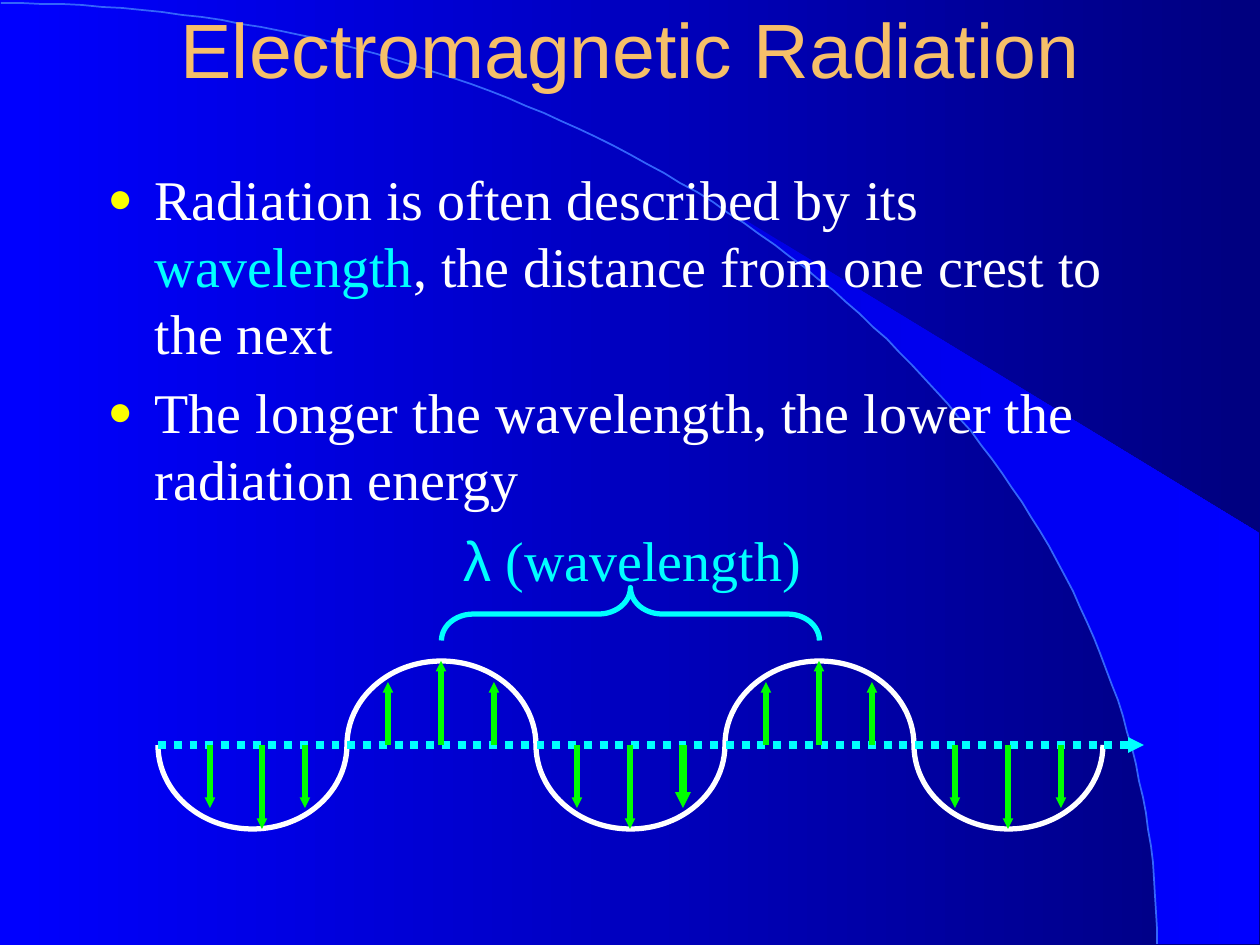
from math import cos, radians, sin
from lxml.etree import SubElement
from pptx import Presentation
from pptx.dml.color import RGBColor
from pptx.enum.dml import MSO_LINE
from pptx.enum.shapes import MSO_CONNECTOR, MSO_SHAPE
from pptx.enum.text import MSO_ANCHOR, MSO_AUTO_SIZE, PP_ALIGN
from pptx.oxml.ns import qn
from pptx.util import Emu, Pt

HUES = {
    "left": "0000FF", "right": "00007F", "wedge": "0000E5", "curve": "3365FB",
    "title": "F6BF69", "text": "FFFFFF", "key": "00FFFF", "dot": "FAFD00",
    "arrow": "00FF00",
}
SCALE = 914400 / 126
AXIS, HALF, CREST, START = 745, 189, 84, 158


def px(num):
    """Turn px into EMU."""
    return Emu(round(num * SCALE))


def hue(name):
    """Look up a colour by name."""
    return RGBColor.from_string(HUES[name])


def put(item, **vals):
    """Set each format value on an item."""
    for key, val in vals.items():
        setattr(item, key, val)


class Deck:
    """Hold the style and the current slide."""

    def __init__(self):
        """Start a one-slide deck."""
        self.prs = Presentation()
        put(self.prs, slide_width=px(1260), slide_height=px(945))
        self.slide = self.prs.slides.add_slide(self.prs.slide_layouts[1])
        self.shapes = self.slide.shapes
        self.blend(self.slide.background.fill, "left", "right")

    def blend(self, fill, *names):
        """Fill with a gradient from left to right."""
        fill.gradient()
        fill.gradient_angle = 0
        for stop, name in zip(fill.gradient_stops, names):
            stop.color.rgb = hue(name)

    def line(self, item, name, width):
        """Give an item a solid line."""
        item.line.color.rgb = hue(name)
        item.line.width = Pt(width)

    def outline(self, dots, close):
        """Draw a freeform through the dots, behind the text."""
        build = self.shapes.build_freeform(*dots[0], scale=SCALE)
        build.add_line_segments(dots[1:], close=close)
        form = build.convert_to_shape()
        form.shadow.inherit = False
        self.shapes.title.element.addprevious(form.element)
        return form

    def shape(self, kind, box, name, adjust, turn=0):
        """Draw an unfilled preset shape."""
        item = self.shapes.add_shape(kind, *map(px, box))
        item.shadow.inherit = False
        item.fill.background()
        self.line(item, name, 3)
        item.rotation = turn
        for pos, val in enumerate(adjust):
            item.adjustments[pos] = val

    def arrow(self, start, end, name, width=3, dash=None):
        """Draw a straight arrow with a small head."""
        item = self.shapes.add_connector(
            MSO_CONNECTOR.STRAIGHT, *map(px, start + end))
        self.line(item, name, width)
        item.line.dash_style = dash
        props = item.element.spPr
        SubElement(props.get_or_add_ln(), qn("a:tailEnd"),
                   type="triangle", w="sm", len="sm")
        SubElement(props, qn("a:effectLst"))

    def frame(self, item, box, anchor=MSO_ANCHOR.TOP):
        """Place a text holder and return its frame."""
        put(item, **dict(zip(("left", "top", "width", "height"), map(px, box))))
        put(item.text_frame, word_wrap=True, vertical_anchor=anchor,
            auto_size=MSO_AUTO_SIZE.NONE)
        return item.text_frame

    def runs(self, para, *parts, size=32):
        """Add runs of text, font and colour."""
        for text, font, name in parts:
            run = para.add_run()
            run.text = text
            put(run.font, name=font, size=Pt(size))
            run.font.color.rgb = hue(name)

    def title(self, text, box):
        """Fill the title placeholder."""
        para = self.frame(self.shapes.title, box, MSO_ANCHOR.MIDDLE).paragraphs[0]
        para.alignment = PP_ALIGN.CENTER
        self.runs(para, (text, "Arial", "title"), size=44)

    def bullets(self, items, box):
        """Fill the body placeholder with a list."""
        frame = self.frame(self.slide.placeholders[1], box)
        for pos, parts in enumerate(items):
            para = frame.add_paragraph() if pos else frame.paragraphs[0]
            para.space_before = Pt(6.4 if pos else 0)
            props = para._p.get_or_add_pPr()
            props.set("marL", str(px(47)))
            props.set("indent", str(-px(47)))
            tint = SubElement(props, qn("a:buClr"))
            SubElement(tint, qn("a:srgbClr"), val=HUES["dot"])
            SubElement(props, qn("a:buSzPct"), val="75000")
            SubElement(props, qn("a:buChar"), char="●")
            self.runs(para, *parts)

    def label(self, parts, box):
        """Add a text box of one paragraph."""
        item = self.shapes.add_textbox(*map(px, box))
        self.runs(self.frame(item, box).paragraphs[0], *parts)


def main():
    """Build the wavelength slide."""
    deck = Deck()
    serif = "Times New Roman"
    arc = [(1 + 1156 * sin(radians(deg)), 944 - 941 * cos(radians(deg)))
           for deg in range(91)]
    wedge = deck.outline([(1259, 944), (1259, 533), (742, 218)] + arc[40:], True)
    deck.blend(wedge.fill, "wedge", "left")
    wedge.line.fill.background()
    curve = deck.outline(arc, False)
    curve.fill.background()
    deck.line(curve, "curve", 1)

    deck.title("Electromagnetic Radiation", (95, -31, 1071, 157))
    deck.bullets([
        [("Radiation is often described by its ", serif, "text"),
         ("wavelength", serif, "key"),
         (", the distance from one crest to the next", serif, "text")],
        [("The longer the wavelength, the lower the radiation energy",
          serif, "text")],
    ], (95, 158, 1071, 567))

    for pos in range(5):
        box = (START + HALF * pos, AXIS - CREST, HALF, 2 * CREST)
        deck.shape(MSO_SHAPE.ARC, box, "text", (108, 0) if pos % 2 else (0, 108))
    deck.arrow((START, AXIS), (1144, AXIS), "key", 4.5, MSO_LINE.ROUND_DOT)

    trios = [(210, 262, 305)]
    trios += [(mid - 53, mid, mid + 53) for mid in range(441, 1009, HALF)]
    for pos, trio in enumerate(trios):
        way = -1 if pos % 2 else 1
        for spot, (left, reach) in enumerate(zip(trio, (63, CREST, 63))):
            width = 4.5 if (pos, spot) == (2, 2) else 3
            deck.arrow((left, AXIS), (left, AXIS + way * reach), "arrow", width)

    deck.shape(MSO_SHAPE.RIGHT_BRACE, (604, 425, 53, 378), "key", (0.6, 0.5), 270)
    deck.label([("λ", "Arial", "key"), (" (wavelength)", serif, "key")],
               (451, 519, 451, 79))
    deck.prs.save("out.pptx")


if __name__ == "__main__":
    main()
